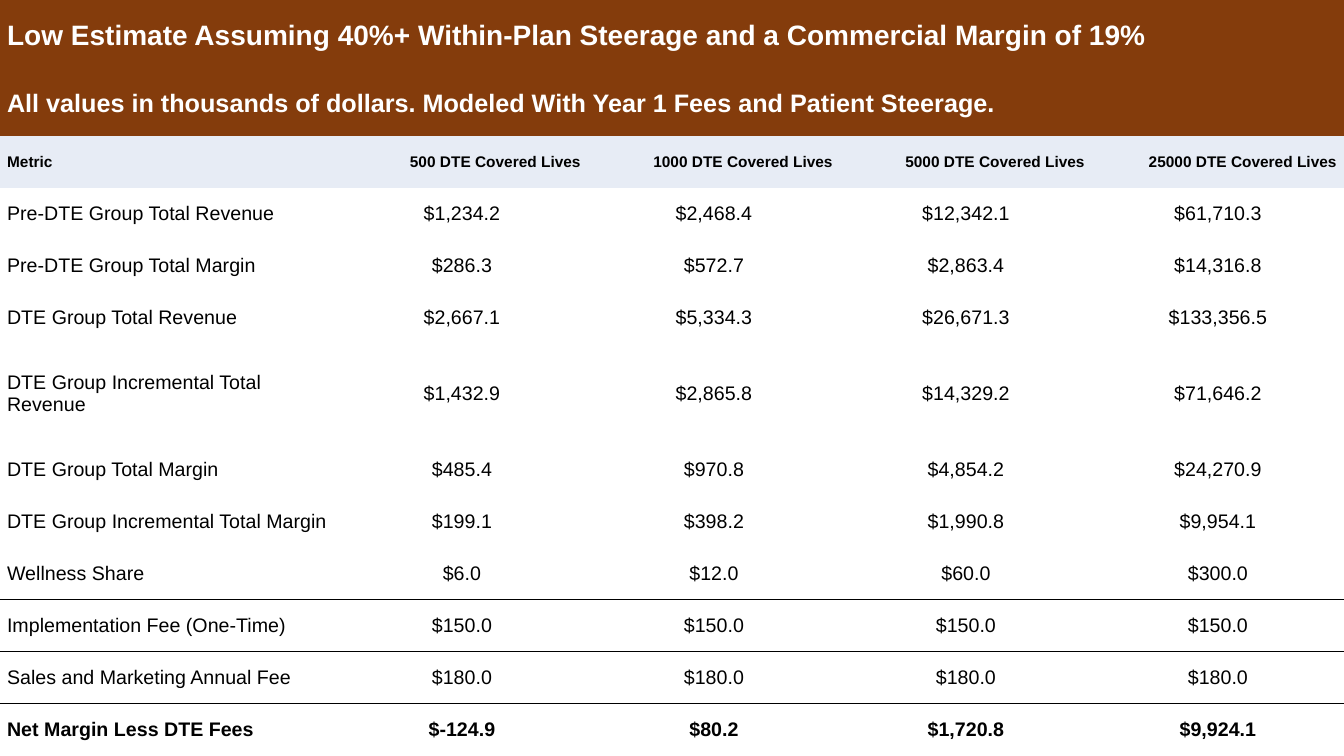
from lxml import etree
from pptx import Presentation
from pptx.dml.color import RGBColor
from pptx.enum.text import MSO_ANCHOR, PP_ALIGN
from pptx.oxml.ns import qn
from pptx.util import Inches, Pt

LEFT, CENTER, RIGHT = PP_ALIGN.LEFT, PP_ALIGN.CENTER, PP_ALIGN.RIGHT
MIDDLE = MSO_ANCHOR.MIDDLE
BROWN = RGBColor(0x84, 0x3C, 0x0C)
PALE_BLUE = RGBColor(0xE7, 0xEC, 0xF5)
WHITE = RGBColor(0xFF, 0xFF, 0xFF)
BLACK = RGBColor(0, 0, 0)

SLIDE_WIDTH, SLIDE_HEIGHT = Inches(13.33), Inches(7.5)
METRIC_WIDTH = SLIDE_WIDTH // 4
TEXT_INDENT = Inches(0.07)
NO_GRID_STYLE = "{2D5ABB26-0587-4C30-8999-92F81FD0307C}"

BANNERS = [
    ("Low Estimate Assuming 40%+ Within-Plan Steerage and a Commercial Margin of 19%", 20),
    ("All values in thousands of dollars. Modeled With Year 1 Fees and Patient Steerage.", 18),
]
COVERED_LIVES = [500, 1000, 5000, 25000]
METRICS = [
    ("Pre-DTE Group Total Revenue", 1234.2, 2468.4, 12342.1, 61710.3),
    ("Pre-DTE Group Total Margin", 286.3, 572.7, 2863.4, 14316.8),
    ("DTE Group Total Revenue", 2667.1, 5334.3, 26671.3, 133356.5),
    ("DTE Group Incremental Total Revenue", 1432.9, 2865.8, 14329.2, 71646.2),
    ("DTE Group Total Margin", 485.4, 970.8, 4854.2, 24270.9),
    ("DTE Group Incremental Total Margin", 199.1, 398.2, 1990.8, 9954.1),
    ("Wellness Share", 6, 12, 60, 300),
    ("Implementation Fee (One-Time)", 150, 150, 150, 150),
    ("Sales and Marketing Annual Fee", 180, 180, 180, 180),
    ("Net Margin Less DTE Fees", -124.9, 80.2, 1720.8, 9924.1),
]
HEADER_ROW = len(BANNERS)
FIRST_METRIC_ROW = HEADER_ROW + 1
ROW_COUNT = FIRST_METRIC_ROW + len(METRICS)
COLUMN_COUNT = 1 + len(COVERED_LIVES)
SPECIAL_HEIGHTS = {0: Inches(0.71), 1: Inches(0.64), 6: Inches(0.99)}
RULED_METRICS = ("Wellness Share", "Sales and Marketing Annual Fee")


def write_cell(cell, text, size=14, bold=False, color=BLACK, align=LEFT, fill=None):
    cell.margin_left = cell.margin_right = cell.margin_top = cell.margin_bottom = 0
    cell.vertical_anchor = MIDDLE
    if fill is None:
        cell.fill.background()
    else:
        cell.fill.solid()
        cell.fill.fore_color.rgb = fill
    paragraph = cell.text_frame.paragraphs[0]
    paragraph.alignment = align
    indents = paragraph._p.get_or_add_pPr()
    for name, value in (("marL", TEXT_INDENT), ("marR", TEXT_INDENT), ("indent", 0)):
        indents.set(name, str(value))
    run = paragraph.add_run()
    run.text = text
    font = run.font
    font.name, font.size, font.bold = "Arial", Pt(size), bold
    font.color.rgb = color


def rule_edge(cell, edge):
    """Draw a thin black border on one edge, named as in DrawingML (lnT or lnB)."""
    line = etree.Element(qn(f"a:{edge}"), w=str(Pt(1)))
    solid = etree.SubElement(line, qn("a:solidFill"))
    etree.SubElement(solid, qn("a:srgbClr"), val=str(BLACK))
    cell._tc.get_or_add_tcPr().insert(0, line)


def add_estimate_table(slide):
    frame = slide.shapes.add_table(
        ROW_COUNT, COLUMN_COUNT, 0, 0, SLIDE_WIDTH, SLIDE_HEIGHT)
    table = frame.table
    table.first_row = table.horz_banding = False
    table._tbl.tblPr.find(qn("a:tableStyleId")).text = NO_GRID_STYLE

    value_width = (SLIDE_WIDTH - METRIC_WIDTH) // len(COVERED_LIVES)
    for index, column in enumerate(table.columns):
        column.width = value_width if index else METRIC_WIDTH
    regular_height = (SLIDE_HEIGHT - sum(SPECIAL_HEIGHTS.values())) // (
        ROW_COUNT - len(SPECIAL_HEIGHTS))
    for index, row in enumerate(table.rows):
        row.height = SPECIAL_HEIGHTS.get(index, regular_height)
    return table


def fill_banners(table):
    for row, (text, size) in enumerate(BANNERS):
        banner = table.cell(row, 0)
        banner.merge(table.cell(row, COLUMN_COUNT - 1))
        write_cell(banner, text, size=size, bold=True, color=WHITE, fill=BROWN)


def fill_header(table):
    titles = ["Metric"] + [f"{lives} DTE Covered Lives" for lives in COVERED_LIVES]
    for column, title in enumerate(titles):
        write_cell(table.cell(HEADER_ROW, column), title, size=11, bold=True,
                   align=RIGHT if column else LEFT, fill=PALE_BLUE)


def fill_metrics(table):
    for row, (metric, *amounts) in enumerate(METRICS, FIRST_METRIC_ROW):
        is_net = row == ROW_COUNT - 1
        write_cell(table.cell(row, 0), metric, bold=is_net)
        for column, amount in enumerate(amounts, 1):
            write_cell(table.cell(row, column), f"${amount:,.1f}",
                       bold=is_net, align=CENTER)
        if metric in RULED_METRICS:
            for column in range(COLUMN_COUNT):
                rule_edge(table.cell(row, column), "lnB")
                rule_edge(table.cell(row + 1, column), "lnT")


def main():
    deck = Presentation()
    deck.slide_width, deck.slide_height = SLIDE_WIDTH, SLIDE_HEIGHT
    slide = deck.slides.add_slide(deck.slide_layouts[6])
    table = add_estimate_table(slide)
    fill_banners(table)
    fill_header(table)
    fill_metrics(table)
    deck.save("out.pptx")


if __name__ == "__main__":
    main()
